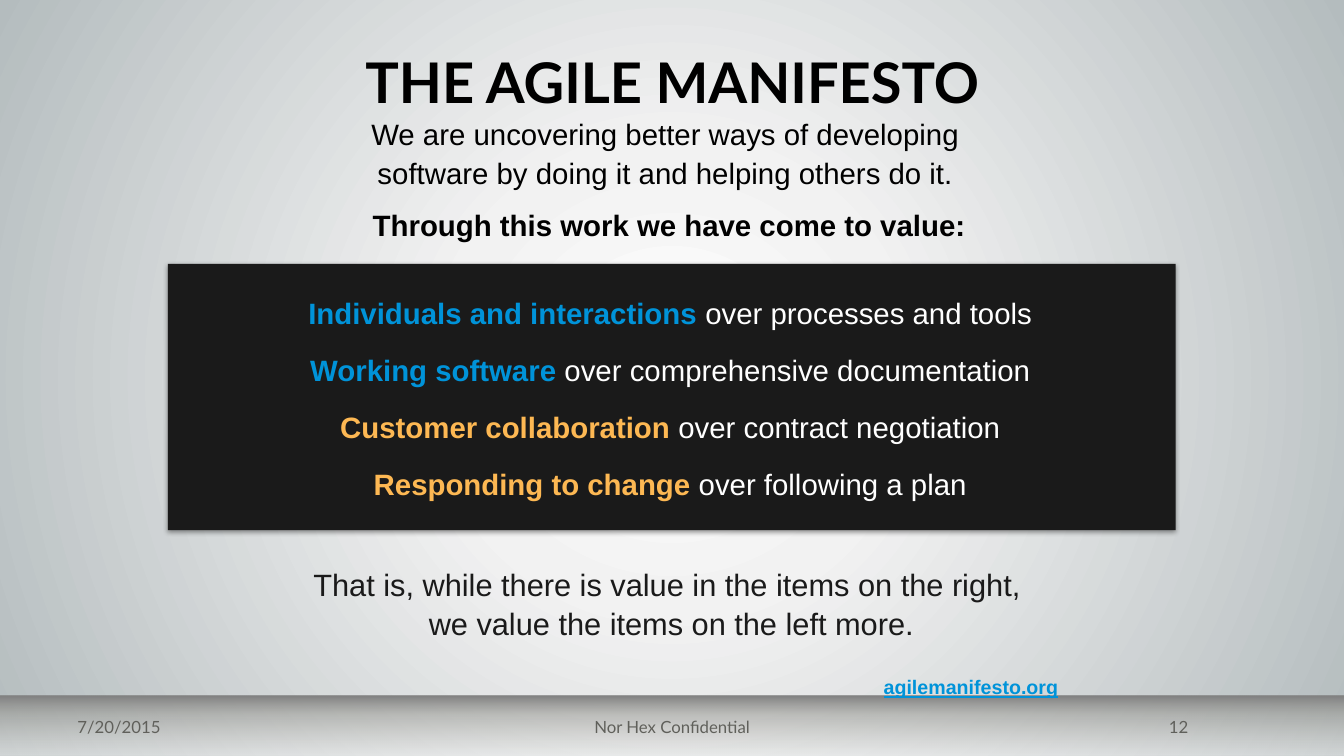
from dataclasses import dataclass
from pptx import Presentation
from pptx.dml.color import RGBColor as Rgb
from pptx.enum.shapes import MSO_SHAPE as Form
from pptx.enum.text import MSO_ANCHOR as Anchor, PP_ALIGN as Align
from pptx.oxml import parse_xml as to_xml
from pptx.oxml.ns import nsdecls, qn
from pptx.util import Cm, Pt


@dataclass(frozen=True)
class Theme:
    head: str = "Lato"
    body: str = "Arial"
    black: str = "000000"
    dark: str = "1A1A1A"
    white: str = "FFFFFF"
    blue: str = "0093D9"
    gold: str = "FDB853"
    grey: str = "60605B"
    title: int = 40
    close: int = 22
    text: int = 21
    link: int = 14
    foot: int = 12
    back: tuple = ((0, "FFFFFF", 100), (30, "F2F2F2", 100), (100, "B4BCBE", 100))
    band: tuple = ((0, "808080", 100), (32, "A1A19C", 59), (100, "F2F2F2", 49))


T = Theme()
ROUND = ('<a:path path="circle"><a:fillToRect l="50000" t="50000" '
         'r="50000" b="50000"/></a:path>')
DOWN = '<a:lin ang="5400000" scaled="0"/>'
VALUES = (
    ("Individuals and interactions ", "over processes and tools", T.blue),
    ("Working software ", "over comprehensive documentation", T.blue),
    ("Customer collaboration ", "over contract negotiation", T.gold),
    ("Responding to change ", "over following a plan", T.gold),
)


def blend(item, fill, stops, course):
    fill.gradient()
    old = item.element.find(".//" + qn("a:gradFill"))
    marks = "".join(
        f'<a:gs pos="{pos * 1000}"><a:srgbClr val="{tint}">'
        f'<a:alpha val="{clear * 1000}"/></a:srgbClr></a:gs>'
        for pos, tint, clear in stops)
    new = to_xml(f'<a:gradFill {nsdecls("a")} rotWithShape="1">'
                 f'<a:gsLst>{marks}</a:gsLst>{course}</a:gradFill>')
    old.getparent().replace(old, new)


def block(slide, box):
    shape = slide.shapes.add_shape(Form.RECTANGLE, *map(Cm, box))
    shape.shadow.inherit = False
    shape.line.fill.background()
    return shape


def frame(slide, box, anchor=Anchor.TOP):
    body = slide.shapes.add_textbox(*map(Cm, box)).text_frame
    body.word_wrap = True
    body.vertical_anchor = anchor
    return body


def style(run, size, tint, face=T.body, bold=False):
    run.font.size = Pt(size)
    run.font.name = face
    run.font.bold = bold
    run.font.color.rgb = Rgb.from_string(tint)


def write(para, text, size, tint, face=T.body, bold=False, align=Align.CENTER):
    para.text = text
    para.alignment = align
    for run in para.runs:
        style(run, size, tint, face, bold)


def title(slide, box):
    body = frame(slide, box, Anchor.BOTTOM)
    body.margin_left = body.margin_right = Cm(0.51)
    body.margin_top = body.margin_bottom = Cm(0.25)
    para = body.paragraphs[0]
    para.line_spacing = 0.9
    write(para, "THE AGILE MANIFESTO", T.title, T.black, T.head, True)


def intro(slide, box):
    body = frame(slide, box)
    first, last = body.paragraphs[0], body.add_paragraph()
    write(first, "We are uncovering better ways of developing \n"
          "software by doing it and helping others do it. ", T.text, T.black)
    write(last, "Through this work we have come to value:",
          T.text, T.black, bold=True)
    first.line_spacing = last.line_spacing = Pt(28)
    first.space_after = Pt(3)
    last.space_before = Pt(6)


def panel(slide, box):
    card = block(slide, box)
    card.fill.solid()
    card.fill.fore_color.rgb = Rgb.from_string(T.dark)
    card.element.find(".//" + qn("a:effectLst")).append(to_xml(
        f'<a:outerShdw {nsdecls("a")} blurRad="{Pt(3.1)}" dist="{Pt(1.6)}" '
        'dir="5400000" rotWithShape="0"><a:srgbClr val="000000">'
        '<a:alpha val="38000"/></a:srgbClr></a:outerShdw>'))
    left, top, wide, high = box
    body = frame(slide, (left + 1.61, top + 0.49, wide - 3.3, high - 0.94))
    for row, (key, rest, tint) in enumerate(VALUES):
        para = body.add_paragraph() if row else body.paragraphs[0]
        write(para, key, T.text, tint, bold=True)
        tail = para.add_run()
        tail.text = rest
        style(tail, T.text, T.white)
        para.line_spacing = Pt(30.4)
        para.space_after = Pt(6)
        if row:
            para.space_before = Pt(4.2)


def close(slide, box):
    para = frame(slide, box).paragraphs[0]
    write(para, "That is, while there is value in the items on the right, \n"
          "we value the items on the left more.", T.close, T.dark)
    para.line_spacing = Pt(28)


def source(slide, box):
    para = frame(slide, box).paragraphs[0]
    write(para, "agilemanifesto.org", T.link, T.blue, bold=True, align=Align.LEFT)
    para.runs[0].font.underline = True


def footer(slide, box):
    left, top, wide, high = box
    band = block(slide, box)
    blend(band, band.fill, T.band, DOWN)
    for start, span, text, align in (
            (1.7, 7.9, "7/20/2015", Align.LEFT),
            (11.58, 10.72, "Nor Hex Confidential", Align.CENTER),
            (24.28, 5.92, "12", Align.RIGHT)):
        body = frame(slide, (left + start, top + 0.28, span, 1.02), Anchor.MIDDLE)
        write(body.paragraphs[0], text, T.foot, T.grey, T.head, align=align)


def main():
    deck = Presentation()
    deck.slide_width, deck.slide_height = Cm(33.87), Cm(19.05)
    slide = deck.slides.add_slide(deck.slide_layouts[6])
    blend(slide, slide.background.fill, T.back, ROUND)
    footer(slide, (0, 17.53, 33.87, 1.52))
    title(slide, (1.7, 0.38, 30.48, 2.79))
    panel(slide, (4.23, 6.65, 25.4, 6.71))
    intro(slide, (5.69, 2.69, 22.35, 3.61))
    close(slide, (5.92, 14.07, 22, 2.24))
    source(slide, (22.02, 16.89, 5.87, 0.86))
    deck.save("out.pptx")


if __name__ == "__main__":
    main()
